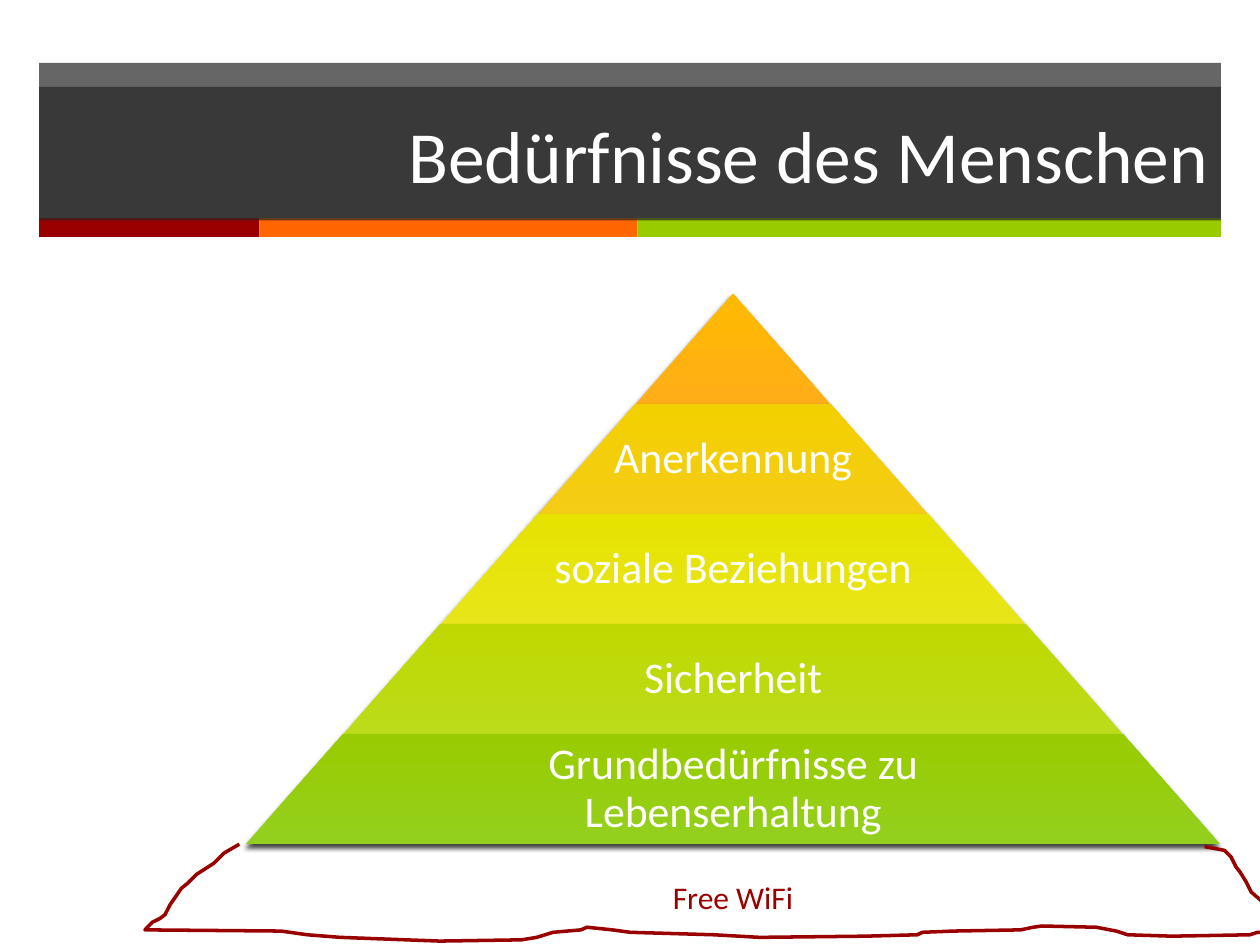
"""Build a slide with a pyramid of human needs on a hand-drawn base."""
from dataclasses import dataclass

from lxml.etree import SubElement
from pptx import Presentation
from pptx.dml.color import RGBColor
from pptx.enum.shapes import MSO_SHAPE
from pptx.enum.text import MSO_ANCHOR, MSO_AUTO_SIZE, PP_ALIGN
from pptx.oxml.ns import qn
from pptx.util import Pt

FONT = "Calibri"
WHITE = RGBColor(0xFF, 0xFF, 0xFF)
DARK = RGBColor(0x26, 0x26, 0x26)
RED = RGBColor(0x99, 0x00, 0x00)
ORANGE = RGBColor(0xFF, 0x66, 0x00)
GREEN = RGBColor(0x99, 0xCC, 0x00)

MID = 418.9
TOP = 168
STEP = 62.9
HALF = 55.7
LEFT = 22.3
WIDTH = 675.4


@dataclass
class Box:
    """A place on the slide, in points."""
    left: float
    top: float
    width: float
    height: float

    def args(self) -> list:
        """Return the place as lengths."""
        return [Pt(v) for v in (self.left, self.top, self.width, self.height)]


@dataclass
class Tier:
    """One level of the pyramid."""
    text: str
    low: RGBColor
    high: RGBColor


TIERS = [
    Tier("", RGBColor(0xFF, 0xAE, 0x17), RGBColor(0xFF, 0xBA, 0x00)),
    Tier("Anerkennung", RGBColor(0xF5, 0xCC, 0x16), RGBColor(0xF2, 0xD0, 0x00)),
    Tier("soziale Beziehungen", RGBColor(0xE8, 0xE5, 0x19), RGBColor(0xE6, 0xE3, 0x00)),
    Tier("Sicherheit", RGBColor(0xBC, 0xDB, 0x1B), RGBColor(0xBF, 0xD9, 0x00)),
    Tier("Grundbedürfnisse zu Lebenserhaltung", RGBColor(0x93, 0xCF, 0x1E), GREEN),
]

STRIPES = [(126, RED), (216, ORANGE), (333.4, GREEN)]

SKETCH = [
    (136.8, 482.4), (128.2, 487.4), (122.4, 493.2), (112.3, 499.7),
    (107.3, 504.7), (103.7, 507.6), (97.2, 517), (94.3, 522.7),
    (91.4, 524.9), (87.1, 527), (82.8, 531.4), (160.6, 532.1),
    (175.7, 534.2), (194.4, 535.7), (251.3, 537.8), (298.1, 537.1),
    (306.7, 535.7), (316.1, 532.8), (331.9, 531.4), (335.5, 529.9),
    (349.9, 531.4), (360, 532.8), (408.2, 534.2), (434.2, 535.7),
    (494.6, 535), (524.2, 534.2), (527, 532.8), (545, 532.1),
    (583.2, 531.4), (590.4, 529.9), (595.4, 529.2), (626.4, 529.9),
    (637.9, 532.1), (644.4, 534.2), (669.6, 535), (714.2, 534.2),
    (718.6, 532.8), (736.6, 534.2), (745.9, 534.2), (736.6, 524.9),
    (725.8, 519.1), (715, 509.8), (712.1, 504), (708.5, 498.2),
    (706.3, 495.4), (703.4, 489.6), (699.8, 486), (688.3, 483.8),
]


def write(shape, text: str, size: float, color: RGBColor, align=PP_ALIGN.CENTER):
    """Fill a shape with one paragraph and return the paragraph."""
    shape.text_frame.word_wrap = True
    para = shape.text_frame.paragraphs[0]
    para.text = text
    para.alignment = align
    para.font.name = FONT
    para.font.size = Pt(size)
    para.font.color.rgb = color
    return para


def add_bar(slide, box: Box, color: RGBColor, alpha: int = 100):
    """Add a plain rectangle, clear in part if alpha is below 100."""
    bar = slide.shapes.add_shape(MSO_SHAPE.RECTANGLE, *box.args())
    bar.shadow.inherit = False
    bar.line.fill.background()
    bar.fill.solid()
    bar.fill.fore_color.rgb = color
    if alpha < 100:
        tone = bar.fill._xPr.find(".//" + qn("a:srgbClr"))
        SubElement(tone, qn("a:alpha"), val=str(alpha * 1000))
    return bar


def add_shade(shape) -> None:
    """Give a shape a soft black shadow below it."""
    shape.shadow.inherit = False
    effects = shape._element.spPr.find(qn("a:effectLst"))
    outer = SubElement(effects, qn("a:outerShdw"), blurRad=str(Pt(3)),
                       dist=str(Pt(2)), dir=str(110 * 60000), rotWithShape="0")
    tone = SubElement(outer, qn("a:srgbClr"), val="000000")
    SubElement(tone, qn("a:alpha"), val="75000")


def add_tier(slide, rank: int, tier: Tier) -> None:
    """Add one level of the pyramid with its label."""
    half = HALF * (rank + 1)
    top = TOP + STEP * rank
    box = Box(MID - half, top, 2 * half, STEP)
    block = slide.shapes.add_shape(MSO_SHAPE.TRAPEZOID, *box.args())
    block.adjustments[0] = HALF / STEP
    block.line.fill.background()
    block.fill.gradient()
    block.fill.gradient_angle = 90
    for stop, color in zip(block.fill.gradient_stops, (tier.low, tier.high)):
        stop.color.rgb = color
    add_shade(block)
    if tier.text:
        inner = Box(MID - 0.65 * half, top, 1.3 * half, STEP)
        label = slide.shapes.add_textbox(*inner.args())
        frame = label.text_frame
        frame.margin_left = frame.margin_right = Pt(2.5)
        frame.margin_top = frame.margin_bottom = Pt(2.5)
        frame.vertical_anchor = MSO_ANCHOR.MIDDLE
        write(label, tier.text, 25, WHITE).line_spacing = 0.9


def add_sketch(slide) -> None:
    """Add the hand-drawn line below the pyramid."""
    first, *rest = [(Pt(x), Pt(y)) for x, y in SKETCH]
    pen = slide.shapes.build_freeform(*first)
    pen.add_line_segments(rest, close=False)
    line = pen.convert_to_shape()
    line.shadow.inherit = False
    line.fill.background()
    line.line.color.rgb = RED
    line.line.width = Pt(2)


def main() -> None:
    """Build and save the slide."""
    deck = Presentation()
    deck.slide_width, deck.slide_height = Pt(720), Pt(540)
    slide = deck.slides.add_slide(deck.slide_layouts[6])

    add_bar(slide, Box(LEFT, 36, WIDTH, 89), DARK, 70)
    left = LEFT
    for width, color in STRIPES:
        add_bar(slide, Box(left, 124.6, width, 10.8), color)
        left += width
    title = add_bar(slide, Box(LEFT, 49.7, WIDTH, 76.3), DARK, 70)
    title.text_frame.vertical_anchor = MSO_ANCHOR.MIDDLE
    write(title, "Bedürfnisse des Menschen", 42, WHITE, PP_ALIGN.RIGHT)

    for rank, tier in enumerate(TIERS):
        add_tier(slide, rank, tier)

    base = HALF * len(TIERS)
    note = slide.shapes.add_textbox(*Box(MID - base, 498.2, 2 * base, 29).args())
    note.text_frame.auto_size = MSO_AUTO_SIZE.SHAPE_TO_FIT_TEXT
    write(note, "Free WiFi", 18, RED)
    add_sketch(slide)
    deck.save("out.pptx")


if __name__ == "__main__":
    main()
